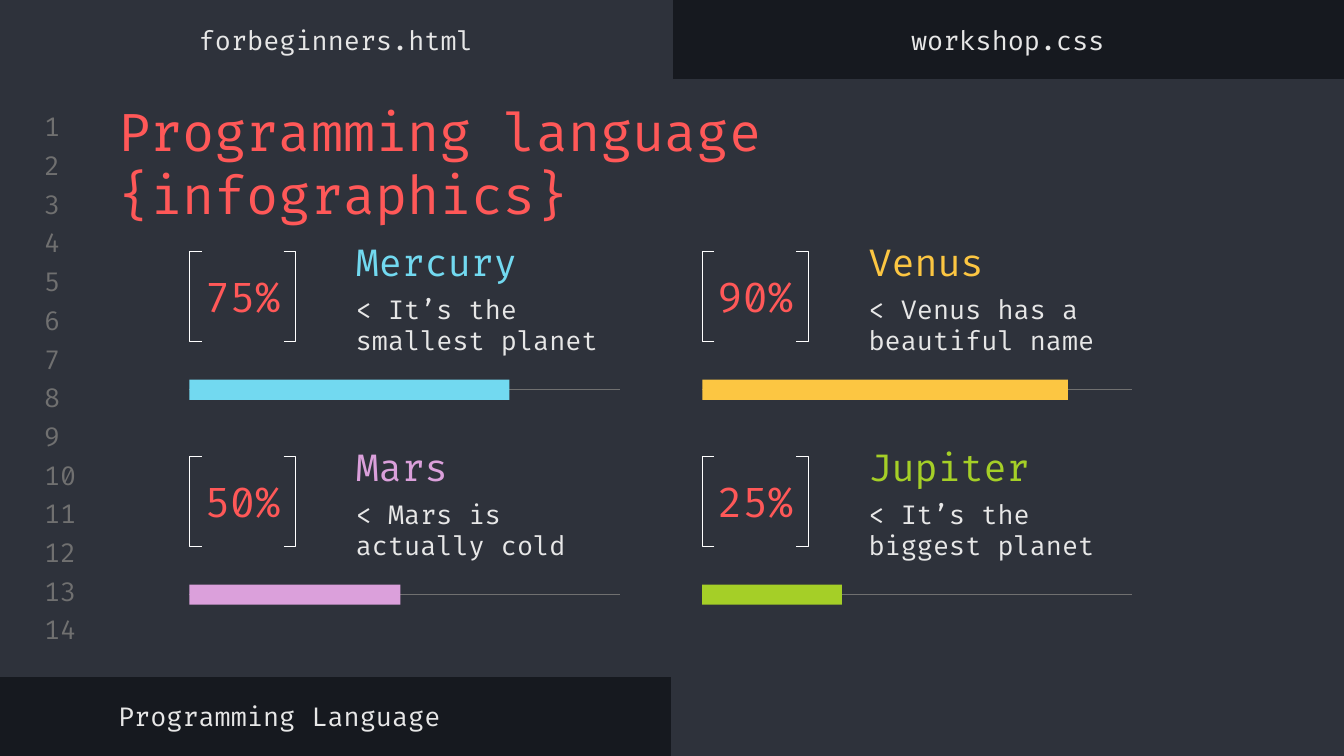
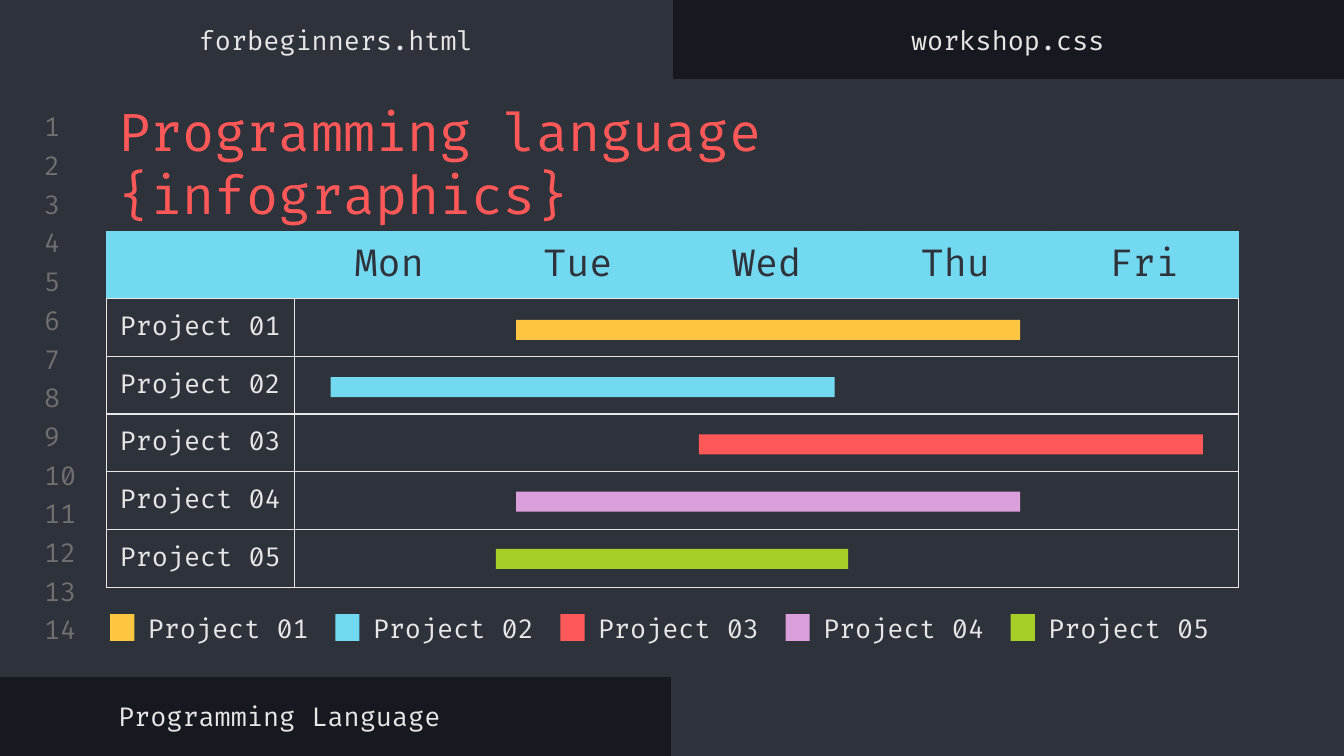
from dataclasses import dataclass
from typing import NamedTuple, Optional

from lxml.etree import SubElement
from pptx import Presentation
from pptx.dml.color import RGBColor
from pptx.enum.shapes import MSO_CONNECTOR, MSO_SHAPE
from pptx.enum.text import MSO_ANCHOR, MSO_AUTO_SIZE, PP_ALIGN
from pptx.oxml.ns import qn
from pptx.util import Emu, Inches, Pt

WIDTH, HEIGHT = Inches(10), Inches(5.625)
COLUMNS, ROWS = 100, 56.25
FONT = "Fira Code"
INK = RGBColor(0x16, 0x19, 0x1F)
PANEL = RGBColor(0x2E, 0x32, 0x3B)
GRAY = RGBColor(0x70, 0x70, 0x70)
LIGHT = RGBColor(0xE7, 0xE7, 0xE7)
WHITE = RGBColor(0xFF, 0xFF, 0xFF)
RED = RGBColor(0xFF, 0x58, 0x58)
BLUE = RGBColor(0x72, 0xD9, 0xF0)
YELLOW = RGBColor(0xFC, 0xC6, 0x42)
PINK = RGBColor(0xDB, 0xA0, 0xDB)
GREEN = RGBColor(0xA5, 0xCF, 0x27)
TITLE = "Programming language {infographics}"
THIN = Pt(0.75)


class Box(NamedTuple):
    col: float
    row: float
    cols: float
    rows: float

    def emu(self) -> tuple:
        return (x_at(self.col), y_at(self.row), x_at(self.cols), y_at(self.rows))


@dataclass(frozen=True)
class Planet:
    name: str
    fact: str
    percent: str
    bar_cols: float
    color: RGBColor


@dataclass(frozen=True)
class Project:
    name: str
    start_col: float
    bar_cols: float
    color: RGBColor


PLANETS = [
    Planet("Mercury", "< It’s the smallest planet", "75%", 23.8, BLUE),
    Planet("Venus", "< Venus has a beautiful name", "90%", 27.2, YELLOW),
    Planet("Mars", "< Mars is actually cold", "50%", 15.7, PINK),
    Planet("Jupiter", "< It’s the biggest planet", "25%", 10.4, GREEN),
]
PROJECTS = [
    Project("Project 01", 38.4, 37.5, YELLOW),
    Project("Project 02", 24.6, 37.5, BLUE),
    Project("Project 03", 52, 37.5, RED),
    Project("Project 04", 38.4, 37.5, PINK),
    Project("Project 05", 36.9, 26.2, GREEN),
]
DAYS = ["Mon", "Tue", "Wed", "Thu", "Fri"]


def x_at(col: float) -> Emu:
    return Emu(round(WIDTH * col / COLUMNS))


def y_at(row: float) -> Emu:
    return Emu(round(HEIGHT * row / ROWS))


def write(tf, text: str, size: float, color: RGBColor, align=PP_ALIGN.LEFT) -> None:
    p = tf.paragraphs[0]
    p.text = text
    p.alignment = align
    p.font.name = FONT
    p.font.size = Pt(size)
    p.font.color.rgb = color


def frame_text(tf, anchor) -> None:
    tf.word_wrap = True
    tf.auto_size = MSO_AUTO_SIZE.NONE
    tf.vertical_anchor = anchor
    tf.margin_left = tf.margin_right = tf.margin_top = tf.margin_bottom = Inches(0.1)


def add_label(s, box: Box, text: str, size: float = 14, color: RGBColor = LIGHT,
              align=PP_ALIGN.LEFT, anchor=MSO_ANCHOR.MIDDLE) -> None:
    tf = s.shapes.add_textbox(*box.emu()).text_frame
    frame_text(tf, anchor)
    write(tf, text, size, color, align)


def add_block(s, box: Box, fill: Optional[RGBColor], line: Optional[RGBColor] = None,
              kind=MSO_SHAPE.RECTANGLE):
    sp = s.shapes.add_shape(kind, *box.emu())
    sp.shadow.inherit = False
    if fill is None:
        sp.fill.background()
    else:
        sp.fill.solid()
        sp.fill.fore_color.rgb = fill
    if line is None:
        sp.line.fill.background()
    else:
        sp.line.color.rgb = line
        sp.line.width = THIN
    return sp


def add_track(s, col: float, row: float, cols: float) -> None:
    line = s.shapes.add_connector(MSO_CONNECTOR.STRAIGHT, x_at(col), y_at(row),
                                  x_at(col + cols), y_at(row))
    line.line.color.rgb = GRAY
    line.line.width = THIN
    SubElement(line.element.spPr, qn("a:effectLst"))


def add_page(prs):
    s = prs.slides.add_slide(prs.slide_layouts[5])
    s.background.fill.solid()
    s.background.fill.fore_color.rgb = INK
    half = COLUMNS / 2
    for panel in (Box(0, 0, half, 6.5), Box(half, 49.8, half, 6.45),
                  Box(0, 5.9, COLUMNS, 44.4)):
        add_block(s, panel, PANEL, PANEL)
    for i in range(14):
        add_label(s, Box(2.3, 8.2 + 2.88 * i, 4.7, 2.4), str(i + 1), color=GRAY)
    title = s.shapes.title
    title.left, title.top, title.width, title.height = Box(7.8, 6.4, 84.4, 6.3).emu()
    frame_text(title.text_frame, MSO_ANCHOR.TOP)
    write(title.text_frame, TITLE, 28, RED)
    title.element.getparent().append(title.element)
    add_label(s, Box(7.8, 51.3, 53.2, 3.9), "Programming Language")
    for i, name in enumerate(["forbeginners.html", "workshop.css"]):
        add_label(s, Box(half * i, 1, half, 3.9), name, align=PP_ALIGN.CENTER)
    return s


def add_planet(s, planet: Planet, col: float, row: float) -> None:
    for kind, offset in ((MSO_SHAPE.LEFT_BRACKET, 0), (MSO_SHAPE.RIGHT_BRACKET, 7)):
        bracket = add_block(s, Box(col + offset, row, 0.9, 6.7), None, WHITE, kind)
        bracket.adjustments[0] = 0
    add_label(s, Box(col, row, 7.9, 6.7), planet.percent, 22, RED, PP_ALIGN.CENTER)
    add_label(s, Box(col + 11.4, row + 2.1, 22.3, 6.4), planet.fact, anchor=MSO_ANCHOR.TOP)
    add_label(s, Box(col + 11.4, row - 1.1, 22.3, 3.7), planet.name, 20, planet.color)
    add_track(s, col, row + 10.3, 32)
    add_block(s, Box(col, row + 9.55, planet.bar_cols, 1.5), planet.color)


def style_cell(cell, fill: Optional[RGBColor], side: RGBColor, top: RGBColor) -> None:
    cell.vertical_anchor = MSO_ANCHOR.MIDDLE
    cell.margin_left = cell.margin_right = Inches(0.1)
    cell.margin_top = cell.margin_bottom = 0
    tc_pr = cell._tc.get_or_add_tcPr()
    for edge, color in (("L", side), ("R", side), ("T", top), ("B", LIGHT)):
        ln = SubElement(tc_pr, qn(f"a:ln{edge}"), w=str(THIN))
        SubElement(SubElement(ln, qn("a:solidFill")), qn("a:srgbClr"), val=str(color))
    if fill is None:
        cell.fill.background()
    else:
        cell.fill.solid()
        cell.fill.fore_color.rgb = fill


def add_schedule(s) -> None:
    n_cols, n_rows = len(DAYS) + 1, len(PROJECTS) + 1
    table = s.shapes.add_table(n_rows, n_cols, *Box(7.9, 17.2, 84.24, 26.5).emu()).table
    table.first_row = table.horz_banding = False
    for column in table.columns:
        column.width = x_at(14.04)
    for i, row in enumerate(table.rows):
        row.height = y_at(4.3 if i else 5)
        for cell in row.cells:
            if i:
                style_cell(cell, None, LIGHT, LIGHT)
            else:
                style_cell(cell, BLUE, BLUE, BLUE)
    for j, day in enumerate(DAYS, 1):
        write(table.cell(0, j).text_frame, day, 20, PANEL, PP_ALIGN.CENTER)
    for i, project in enumerate(PROJECTS, 1):
        write(table.cell(i, 0).text_frame, project.name, 14, LIGHT)
        table.cell(i, 1).merge(table.cell(i, n_cols - 1))


def build_planets(prs) -> None:
    s = add_page(prs)
    for i, planet in enumerate(PLANETS):
        add_planet(s, planet, 14.1 + 38.15 * (i % 2), 18.7 + 15.25 * (i // 2))


def build_schedule(prs) -> None:
    s = add_page(prs)
    add_schedule(s)
    for i, project in enumerate(PROJECTS):
        add_block(s, Box(project.start_col, 23.8 + 4.26 * i, project.bar_cols, 1.5),
                  project.color)
        col = 8.2 + 16.75 * i
        add_label(s, Box(col + 1.8, 45.7, 14.8, 2), project.name)
        add_block(s, Box(col, 45.7, 1.8, 2), project.color)


def main() -> None:
    prs = Presentation()
    prs.slide_width, prs.slide_height = WIDTH, HEIGHT
    build_planets(prs)
    build_schedule(prs)
    prs.save("out.pptx")


if __name__ == "__main__":
    main()
